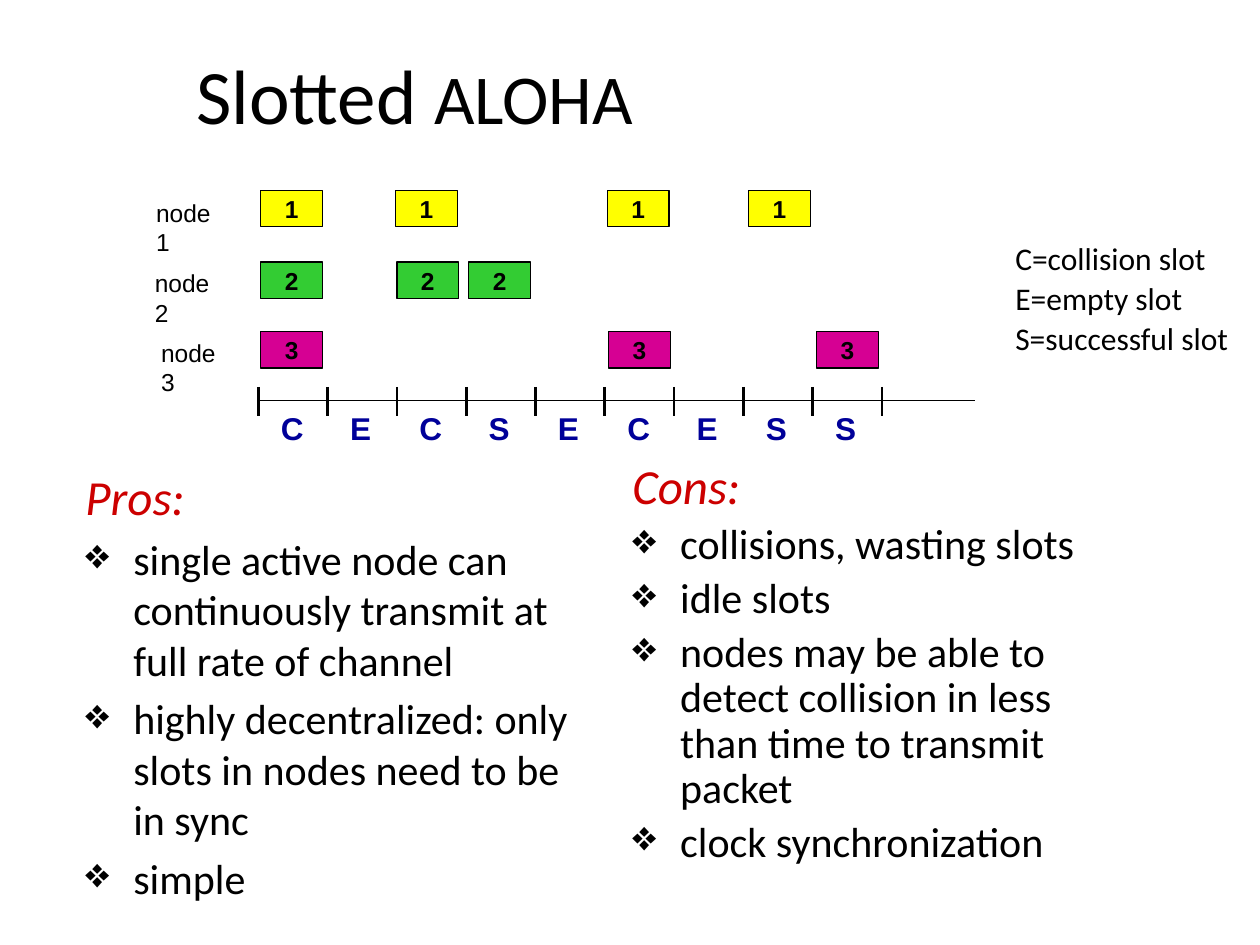
"""Build the Slotted ALOHA slide."""
import lxml.etree
import pptx
import pptx.dml.color
import pptx.enum.shapes
import pptx.enum.text
import pptx.oxml.ns
import pptx.util

Inches = pptx.util.Inches
Pt = pptx.util.Pt
SLOT = 0.55
AXIS_LEFT, AXIS_Y = 2.05, 3.18
OUTCOMES = "CECSECESS"
NODES = [
    ("1", "FFFF00", 1.51, 1.14, 1.52, [2.07, 3.14, 4.82, 5.94]),
    ("2", "33CC33", 2.08, 1.13, 2.08, [2.07, 3.15, 3.72]),
    ("3", "D60093", 2.63, 1.18, 2.63, [2.07, 4.83, 6.48]),
]
PROS = [
    "single active node can continuously transmit at full rate of channel",
    "highly decentralized: only slots in nodes need to be in sync",
    "simple",
]
CONS = [
    "collisions, wasting slots",
    "idle slots",
    "nodes may be able to detect collision in less than time to transmit packet",
    "clock synchronization",
]
LEGEND = ["C=collision slot", "E=empty slot", "S=successful slot"]


def rgb(value):
    """Turn a hex string into a colour."""
    return pptx.dml.color.RGBColor.from_string(value)


def add_run(p, text, size=14, font="Arial", color="000000", bold=False, italic=False):
    """Append a formatted run to a paragraph."""
    r = p.add_run()
    r.text = text
    r.font.size = Pt(size)
    r.font.name = font
    r.font.bold = bold
    r.font.italic = italic
    r.font.color.rgb = rgb(color)


def add_box(s, left, top, width, height, wrap=True):
    """Add a text box and return its text frame."""
    tf = s.shapes.add_textbox(*map(Inches, (left, top, width, height))).text_frame
    tf.word_wrap = wrap
    return tf


def add_label(s, text, left, top, width, height, **fmt):
    """Add a one-line label."""
    tf = add_box(s, left, top, width, height, wrap=False)
    add_run(tf.paragraphs[0], text, **fmt)


def add_item(tf, text, size, spacing=1.0, bullet=None, **fmt):
    """Add a paragraph with a hanging indent and an optional bullet."""
    p = tf.paragraphs[0]
    if p.runs:
        p = tf.add_paragraph()
        p.space_before = Pt(size * 0.2)
    p.line_spacing = spacing
    pPr = p._p.get_or_add_pPr()
    pPr.set("marL", str(Inches(0.38)))
    pPr.set("indent", str(-Inches(0.38)))
    if bullet:
        bu = lxml.etree.SubElement(pPr, pptx.oxml.ns.qn("a:buChar"))
        bu.set("char", bullet)
    add_run(p, text, size=size, font="Calibri", **fmt)


def add_list(s, heading, items, left, top, spacing):
    """Add a red heading followed by bulleted items."""
    tf = add_box(s, left, top, 4.17, 3.5)
    add_item(tf, heading, 28, spacing, color="CC0000", italic=True)
    for item in items:
        add_item(tf, item, 24, spacing, bullet="❖")


def add_packet(s, text, fill, left, top):
    """Add a numbered packet rectangle."""
    kind = pptx.enum.shapes.MSO_SHAPE.RECTANGLE
    sp = s.shapes.add_shape(kind, *map(Inches, (left, top, 0.49, 0.29)))
    sp.shadow.inherit = False
    sp.fill.solid()
    sp.fill.fore_color.rgb = rgb(fill)
    sp.line.color.rgb = rgb("000000")
    sp.line.width = Pt(0.75)
    tf = sp.text_frame
    tf.margin_top = tf.margin_bottom = 0
    tf.vertical_anchor = pptx.enum.text.MSO_ANCHOR.MIDDLE
    p = tf.paragraphs[0]
    p.alignment = pptx.enum.text.PP_ALIGN.CENTER
    add_run(p, text, bold=True)


def add_line(s, x1, y1, x2, y2, width):
    """Add a straight black line."""
    kind = pptx.enum.shapes.MSO_CONNECTOR.STRAIGHT
    cn = s.shapes.add_connector(kind, *map(Inches, (x1, y1, x2, y2)))
    cn.line.color.rgb = rgb("000000")
    cn.line.width = Pt(width)
    lxml.etree.SubElement(cn._element.spPr, pptx.oxml.ns.qn("a:effectLst"))


def add_title(s):
    """Add the slide title."""
    tf = add_box(s, 0.58, 0.12, 5.42, 1.25)
    tf.vertical_anchor = pptx.enum.text.MSO_ANCHOR.MIDDLE
    p = tf.paragraphs[0]
    p.alignment = pptx.enum.text.PP_ALIGN.CENTER
    add_run(p, "Slotted ", size=44, font="Calibri")
    add_run(p, "ALOHA", size=40, font="Calibri")


def add_timeline(s):
    """Add the packets of each node above the slot axis."""
    for number, fill, top, label_left, label_top, lefts in NODES:
        add_label(s, f"node {number}", label_left, label_top, 0.79, 0.33)
        for left in lefts:
            add_packet(s, number, fill, left, top)
    add_line(s, AXIS_LEFT, AXIS_Y, 7.74, AXIS_Y, 0.75)
    for i in range(len(OUTCOMES) + 1):
        x = AXIS_LEFT + i * SLOT
        add_line(s, x, 3.07, x, 3.3, 1.5)
    for i, outcome in enumerate(OUTCOMES):
        left = AXIS_LEFT + 0.08 + i * SLOT
        add_label(s, outcome, left, 3.2, 0.38, 0.4, size=18, color="000099", bold=True)


def add_legend(s):
    """Add the key to the slot letters."""
    tf = add_box(s, 7.96, 1.88, 2.04, 1.06)
    for entry in LEGEND:
        add_item(tf, entry, 18, 0.9)


def main():
    """Build and save the slide."""
    prs = pptx.Presentation()
    prs.slide_width, prs.slide_height = Inches(10), Inches(7.5)
    s = prs.slides.add_slide(prs.slide_layouts[6])
    add_list(s, "Pros:", PROS, 0.58, 3.65, 1.0)
    add_list(s, "Cons:", CONS, 4.92, 3.62, 0.9)
    add_title(s)
    add_timeline(s)
    add_legend(s)
    prs.save("out.pptx")


if __name__ == "__main__":
    main()
